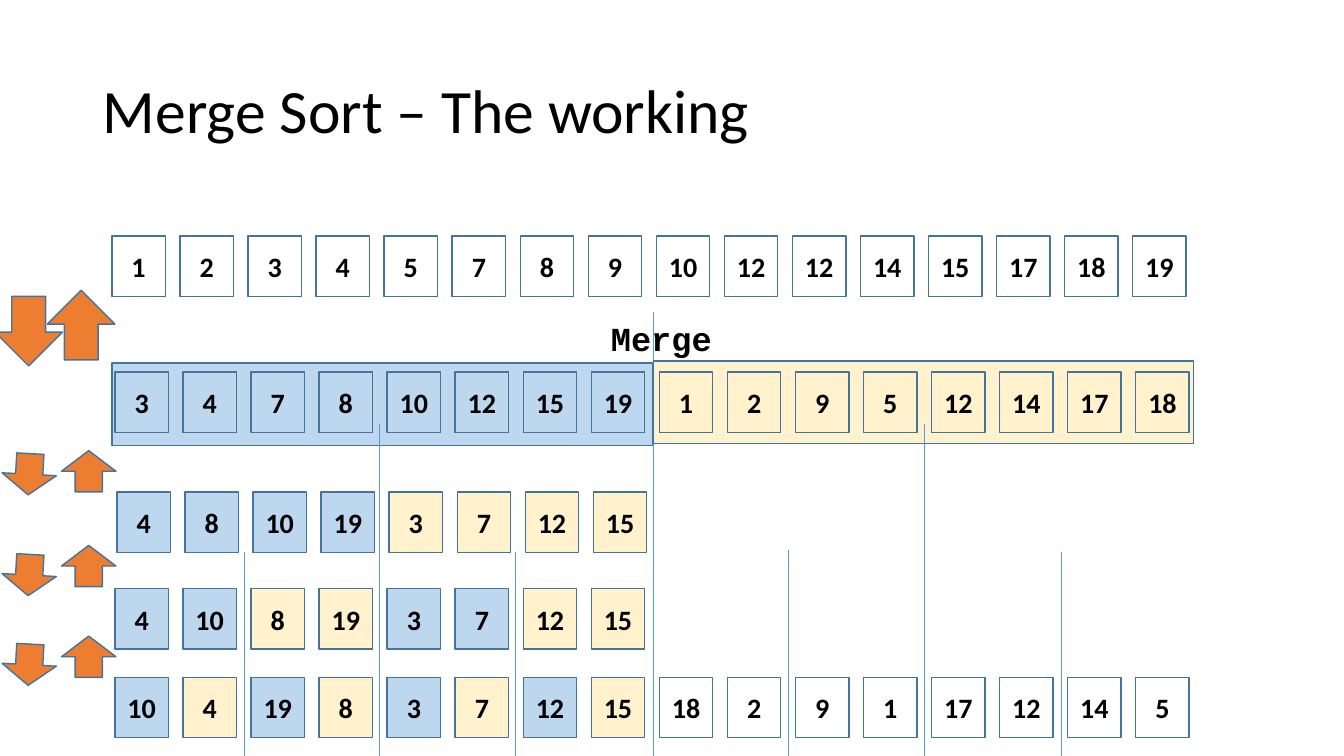
import pptx
import pptx.util
import pptx.dml.color
import pptx.enum.shapes
import pptx.enum.text
import pptx.oxml

Inches = pptx.util.Inches
SHAPES = pptx.enum.shapes.MSO_SHAPE
ALIGN = pptx.enum.text.PP_ALIGN
MIDDLE = pptx.enum.text.MSO_ANCHOR.MIDDLE

COLORS = {
    "text": "000000",
    "outline": "43739E",
    "divider": "5B9BD5",
    "left half": "BDD7EE",
    "right half": "FFF2CC",
    "arrow": "ED7D31",
}

TITLE = "Merge Sort – The working"
ROWS = [
    {"left": 1.14, "top": 6.72, "run": 1,
     "values": [10, 4, 19, 8, 3, 7, 12, 15, 18, 2, 9, 1, 17, 12, 14, 5]},
    {"left": 1.14, "top": 3.69, "run": 0,
     "values": [3, 4, 7, 8, 10, 12, 15, 19, 1, 2, 9, 5, 12, 14, 17, 18]},
    {"left": 1.11, "top": 2.34, "run": 0,
     "values": [1, 2, 3, 4, 5, 7, 8, 9, 10, 12, 12, 14, 15, 17, 18, 19]},
    {"left": 1.14, "top": 5.84, "run": 2, "values": [4, 10, 8, 19, 3, 7, 12, 15]},
    {"left": 1.16, "top": 4.88, "run": 4, "values": [4, 8, 10, 19, 3, 7, 12, 15]},
]
CELL_WIDTH, CELL_HEIGHT, CELL_PITCH = 0.53, 0.6, 0.675
COLORED_CELLS = 8

MIDDLE_DIVIDER = (6.48, 3.1)
OTHER_DIVIDERS = [(3.76, 4.21), (9.17, 4.21), (2.42, 5.48), (5.11, 5.48), (7.82, 5.46), (10.53, 5.48)]
BANDS = [("right half", 6.48, 3.58), ("left half", 1.11, 3.6)]

LARGE_ARROW, SMALL_ARROW = (0.67, 0.69), (0.54, 0.41)
MERGE_ARROWS = [(0.47, 2.88, LARGE_ARROW, 180)] + [
    (0.61, top, SMALL_ARROW, 180) for top in (6.31, 5.41, 4.47)]
SPLIT_ARROWS = [(-0.05, 2.94, LARGE_ARROW, 0)] + [
    (0.02, top, SMALL_ARROW, 3.1) for top in (4.5, 5.5, 6.39)]


def color(name):
    return pptx.dml.color.RGBColor.from_string(COLORS[name])


def write(frame, text, size=20, font="Calibri", bold=True, align=ALIGN.CENTER):
    paragraph = frame.paragraphs[0]
    paragraph.alignment = align
    run = paragraph.add_run()
    run.text = text
    run.font.size = pptx.util.Pt(size)
    run.font.name = font
    run.font.bold = bold
    run.font.color.rgb = color("text")
    return paragraph


def add_box(shapes, kind, left, top, width, height, fill=None):
    shape = shapes.add_shape(kind, Inches(left), Inches(top), Inches(width), Inches(height))
    shape.shadow.inherit = False
    if fill:
        shape.fill.solid()
        shape.fill.fore_color.rgb = color(fill)
    else:
        shape.fill.background()
    shape.line.color.rgb = color("outline")
    shape.line.width = pptx.util.Pt(1)
    return shape


def add_divider(slide, x, top):
    connector = slide.shapes.add_connector(
        pptx.enum.shapes.MSO_CONNECTOR.STRAIGHT, Inches(x), Inches(7.5), Inches(x), Inches(top))
    connector.line.color.rgb = color("divider")
    connector.line.width = pptx.util.Pt(0.5)
    connector._element.spPr.append(pptx.oxml.parse_xml(
        '<a:effectLst xmlns:a="http://schemas.openxmlformats.org/drawingml/2006/main"/>'))


def add_row(slide, left, top, run, values):
    for index, value in enumerate(values):
        fill = None
        if run and index < COLORED_CELLS:
            fill = ("left half", "right half")[index // run % 2]
        cell = add_box(slide.shapes, SHAPES.RECTANGLE, left + index * CELL_PITCH, top,
                       CELL_WIDTH, CELL_HEIGHT, fill)
        cell.text_frame.vertical_anchor = MIDDLE
        write(cell.text_frame, str(value))


def add_arrows(slide, arrows):
    group = slide.shapes.add_group_shape()
    for left, top, (width, height), rotation in arrows:
        arrow = add_box(group.shapes, SHAPES.DOWN_ARROW, left, top, width, height, "arrow")
        arrow.rotation = rotation


def main():
    presentation = pptx.Presentation()
    presentation.slide_width, presentation.slide_height = Inches(13.33), Inches(7.5)
    slide = presentation.slides.add_slide(presentation.slide_layouts[5])

    title = slide.shapes.title
    title.left, title.top = Inches(0.92), Inches(0.4)
    title.width, title.height = Inches(11.5), Inches(1.45)
    title.text_frame.vertical_anchor = MIDDLE
    title.text_frame.auto_size = pptx.enum.text.MSO_AUTO_SIZE.NONE
    write(title.text_frame, TITLE, size=44, bold=False, align=ALIGN.LEFT).line_spacing = 0.9

    add_divider(slide, *MIDDLE_DIVIDER)
    for fill, left, top in BANDS:
        add_box(slide.shapes, SHAPES.RECTANGLE, left, top, 5.36, 0.82, fill)
    for row in ROWS:
        add_row(slide, **row)

    label = slide.shapes.add_textbox(Inches(5.96), Inches(3.1), Inches(1.21), Inches(0.5))
    label.text_frame.word_wrap = False
    label.text_frame.auto_size = pptx.enum.text.MSO_AUTO_SIZE.SHAPE_TO_FIT_TEXT
    write(label.text_frame, "Merge", size=24, font="Courier New", align=ALIGN.LEFT)

    for x, top in OTHER_DIVIDERS:
        add_divider(slide, x, top)
    for arrows in (MERGE_ARROWS, SPLIT_ARROWS):
        add_arrows(slide, arrows)

    presentation.save("out.pptx")


if __name__ == "__main__":
    main()
